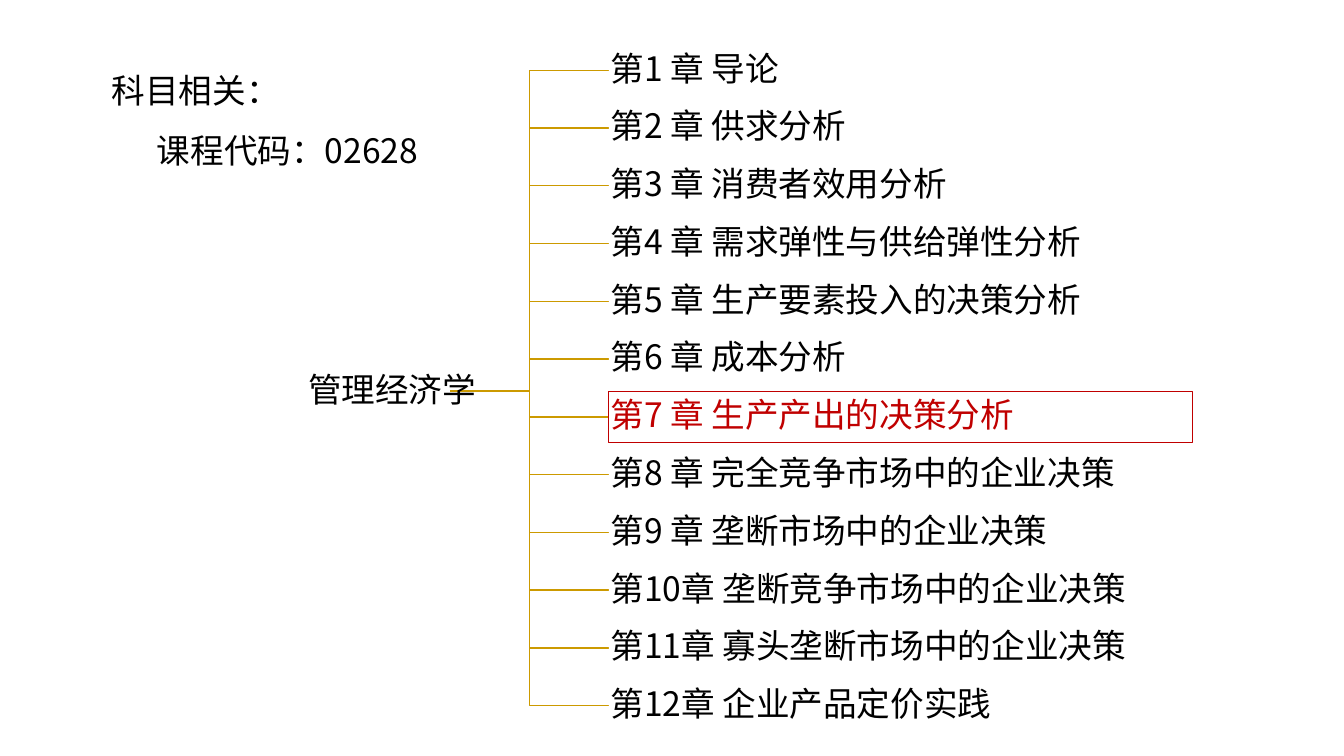
from lxml.etree import SubElement
from pptx import Presentation
from pptx.dml.color import RGBColor
from pptx.enum.shapes import MSO_SHAPE
from pptx.enum.text import MSO_ANCHOR, MSO_AUTO_SIZE, PP_ALIGN
from pptx.oxml.ns import qn
from pptx.util import Pt

FACE = "Noto Sans CJK SC"
BLACK, WHITE, RED, GOLD = "000000", "FFFFFF", "C00000", "CC9A00"
CURRENT = 7
CHAPTERS = [
    "第1 章 导论",
    "第2 章 供求分析",
    "第3 章 消费者效用分析",
    "第4 章 需求弹性与供给弹性分析",
    "第5 章 生产要素投入的决策分析",
    "第6 章 成本分析",
    "第7 章 生产产出的决策分析",
    "第8 章 完全竞争市场中的企业决策",
    "第9 章 垄断市场中的企业决策",
    "第10章 垄断竞争市场中的企业决策",
    "第11章 寡头垄断市场中的企业决策",
    "第12章 企业产品定价实践",
]


def rgb(value):
    """Turn a hex string into a colour."""
    return RGBColor.from_string(value)


def style(paragraph, color, spacing, align=PP_ALIGN.LEFT):
    """Set the font, line spacing and alignment of a paragraph."""
    paragraph.alignment = align
    paragraph.line_spacing = spacing
    font = paragraph.font
    font.size = Pt(24)
    font.color.rgb = rgb(color)
    font.name = FACE
    defaults = paragraph._p.pPr.find(qn("a:defRPr"))
    SubElement(defaults, qn("a:ea")).set("typeface", FACE)


def write_label(shape, text, color, align):
    """Put one vertically centred line into a tree node."""
    frame = shape.text_frame
    frame.word_wrap = True
    frame.vertical_anchor = MSO_ANCHOR.MIDDLE
    frame.margin_left = frame.margin_right = Pt(1.25)
    frame.margin_top = frame.margin_bottom = Pt(1.25)
    frame.text = text
    style(frame.paragraphs[0], color, 0.9, align)


def add_branch(slide, start_x, start_y, end_x, end_y):
    """Draw a stepped line from the subject to a chapter."""
    middle = (start_x + end_x) / 2
    outline = slide.shapes.build_freeform(Pt(start_x), Pt(start_y))
    corners = [(middle, start_y), (middle, end_y), (end_x, end_y)]
    outline.add_line_segments([(Pt(x), Pt(y)) for x, y in corners], close=False)
    branch = outline.convert_to_shape()
    branch.shadow.inherit = False
    branch.fill.background()
    branch.line.color.rgb = rgb(GOLD)
    branch.line.width = Pt(1)


def add_chapter(slide, text, left, top, width, height, current):
    """Add a chapter node, framed in red when it is the current one."""
    chapter = slide.shapes.add_shape(
        MSO_SHAPE.RECTANGLE, Pt(left), Pt(top), Pt(width), Pt(height))
    chapter.shadow.inherit = False
    chapter.fill.solid()
    chapter.fill.fore_color.rgb = rgb(WHITE)
    if current:
        chapter.line.color.rgb = rgb(RED)
        chapter.line.width = Pt(0.75)
    else:
        chapter.line.fill.background()
    write_label(chapter, text, RED if current else BLACK, PP_ALIGN.LEFT)


def add_course_tree(slide, left, top, width, height):
    """Draw the subject, its branches and the evenly spaced chapters."""
    node_height = 36.7
    pitch = (height - node_height) / (len(CHAPTERS) - 1)
    nodes_left = left + 238.3
    root_y = top + 247.6
    tops = [top + i * pitch for i in range(len(CHAPTERS))]
    for node_top in tops:
        add_branch(slide, left + 125.2, root_y, nodes_left, node_top + node_height / 2)
    subject = slide.shapes.add_textbox(Pt(left), Pt(root_y - 41.75), Pt(167), Pt(83.5))
    write_label(subject, "管理经济学", BLACK, PP_ALIGN.CENTER)
    for number, (text, node_top) in enumerate(zip(CHAPTERS, tops), 1):
        add_chapter(slide, text, nodes_left, node_top, left + width - nodes_left,
                    node_height, number == CURRENT)


def add_course_info(slide, left, top, width, height):
    """Write the course heading and its indented code."""
    info = slide.shapes.add_textbox(Pt(left), Pt(top), Pt(width), Pt(height))
    frame = info.text_frame
    frame.word_wrap = True
    frame.auto_size = MSO_AUTO_SIZE.SHAPE_TO_FIT_TEXT
    heading = frame.paragraphs[0]
    heading.text = "科目相关："
    code = frame.add_paragraph()
    code.text = "课程代码：02628"
    code._p.get_or_add_pPr().set("marL", str(Pt(32.25)))
    for paragraph in (heading, code):
        style(paragraph, BLACK, 1.5)


def main():
    """Build and save the course outline."""
    deck = Presentation()
    deck.slide_width, deck.slide_height = Pt(960), Pt(540)
    slide = deck.slides.add_slide(deck.slide_layouts[6])
    add_course_tree(slide, 196.6, 31.8, 655.2, 490.6)
    add_course_info(slide, 72.7, 31.7, 589.7, 94.3)
    deck.save("out.pptx")


if __name__ == "__main__":
    main()
